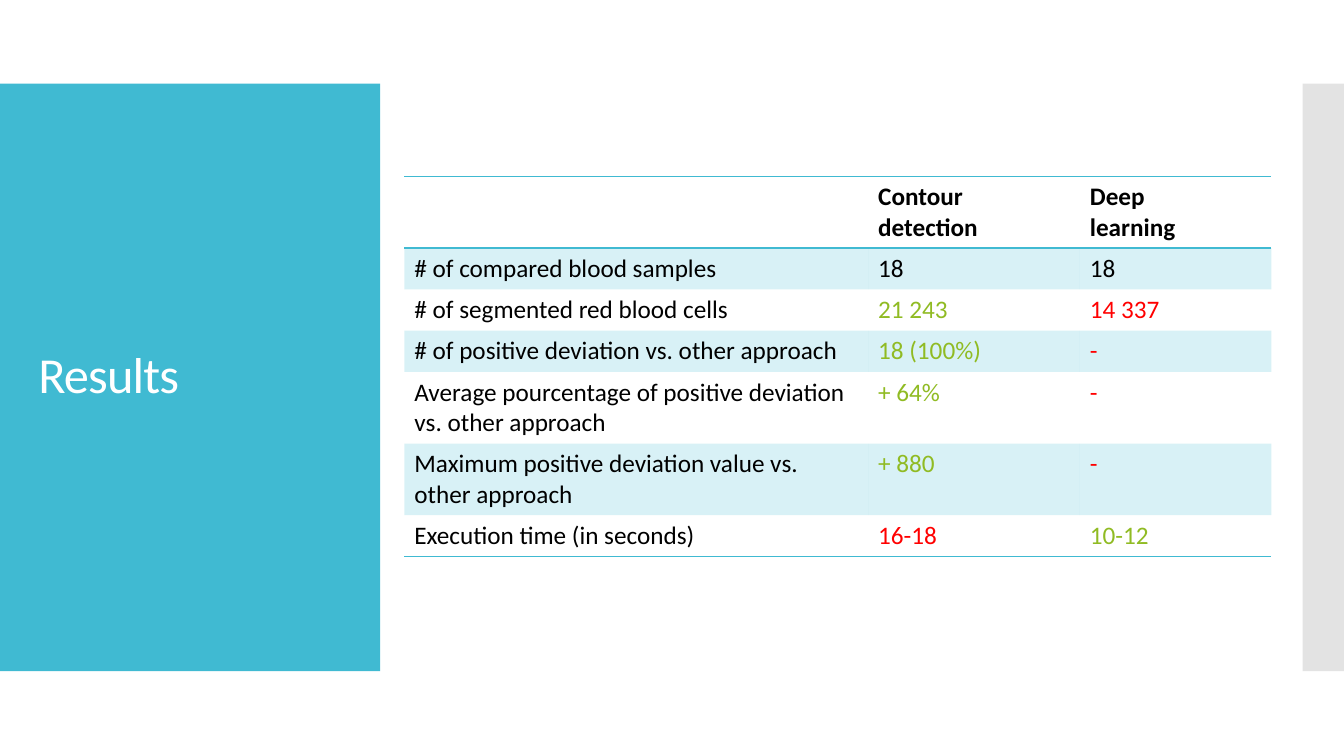
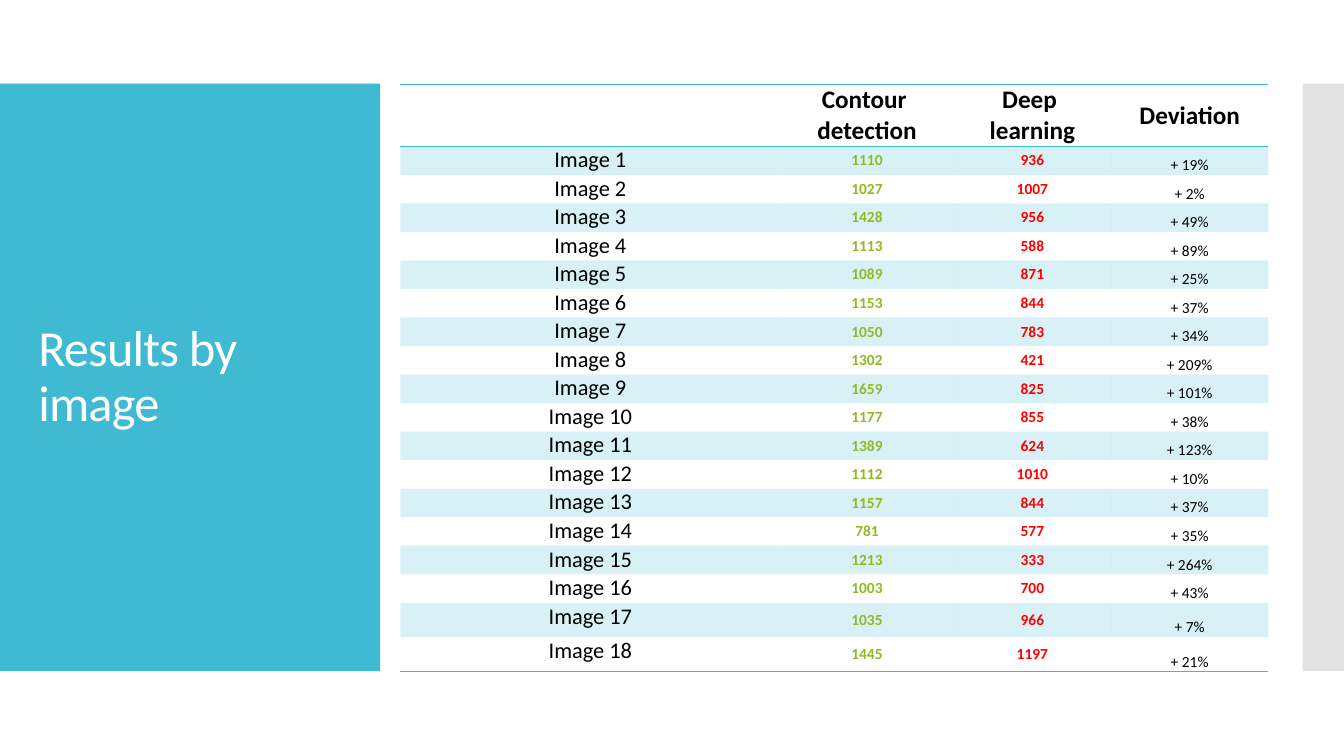
from pptx import Presentation
from pptx.dml.color import RGBColor as RGB
from pptx.enum.shapes import MSO_SHAPE as Shape
from pptx.enum.text import MSO_ANCHOR as Anchor, PP_ALIGN as Align
from pptx.oxml import parse_xml
from pptx.oxml.ns import nsdecls, qn
from pptx.util import Inches, Pt

TEAL = RGB(0x40, 0xBA, 0xD2)
GREY = RGB(0xC8, 0xC8, 0xC8)
GREEN = RGB(0x90, 0xBB, 0x23)
RED = RGB(0xFF, 0, 0)
BLACK = RGB(0, 0, 0)
WHITE = RGB(0xFF, 0xFF, 0xFF)
FONT = "Calibri"
PLAIN = "{2D5ABB26-0587-4C30-8999-92F81FD0307C}"

# Content: label, contour value, deep value, colours of the two values
RESULTS = [
    ("# of compared blood samples", "18", "18", (BLACK, BLACK)),
    ("# of segmented red blood cells", "21 243", "14 337", (GREEN, RED)),
    ("# of positive deviation vs. other approach", "18 (100%)", "-", (GREEN, RED)),
    ("Average pourcentage of positive deviation vs. other approach",
     "+ 64%", "-", (GREEN, RED)),
    ("Maximum positive deviation value vs. other approach",
     "+ 880", "-", (GREEN, RED)),
    ("Execution time (in seconds)", "16-18", "10-12", (RED, GREEN)),
]
# Cells counted by contour detection and by deep learning, image by image
COUNTS = [
    (1110, 936), (1027, 1007), (1428, 956), (1113, 588), (1089, 871),
    (1153, 844), (1050, 783), (1302, 421), (1659, 825), (1177, 855),
    (1389, 624), (1112, 1010), (1157, 844), (781, 577), (1213, 333),
    (1003, 700), (1035, 966), (1445, 1197),
]

# Cell formats
HEAD = dict(size=18, bold=True)
BODY = dict(size=18)
MID = dict(align=Align.CENTER, margin=0)
MIDHEAD = dict(MID, **HEAD)
NAME = dict(MID, size=16)
COUNT = dict(MID, size=11, bold=True, anchor=Anchor.MIDDLE)
SHIFT = dict(MID, size=11, anchor=Anchor.BOTTOM)


def style(font, **looks):
    for key, value in dict(name=FONT, **looks).items():
        setattr(font, key, value)


def paint(fill, color, alpha=None):
    fill.solid()
    fill.fore_color.rgb = color
    if alpha:
        # The colour element sits directly below the solid fill
        tone = fill._xPr.find(qn("a:solidFill"))[0]
        tone.append(parse_xml(f'<a:alpha {nsdecls("a")} val="{alpha * 1000}"/>'))


def edge(cell, side):
    line = parse_xml(
        f'<a:{side} {nsdecls("a")} w="12700"><a:solidFill>'
        f'<a:srgbClr val="{TEAL}"/></a:solidFill></a:{side}>')
    cell._tc.get_or_add_tcPr().insert(0, line)


def write(cell, text, size, bold=False, color=BLACK, align=Align.LEFT,
          anchor=Anchor.TOP, margin=None):
    cell.text = text
    cell.vertical_anchor = anchor
    if margin is not None:
        for side in ("left", "right", "top", "bottom"):
            setattr(cell, f"margin_{side}", margin)
    for para in cell.text_frame.paragraphs:
        para.alignment = align
        style(para.font, size=Pt(size), bold=bold)
        for run in para.runs:
            style(run.font, size=Pt(size), bold=bold)
            run.font.color.rgb = color


def add_bands(slide, layout):
    # Side bands are drawn once, then moved to the shared layout
    bands = [(0, 3.77, TEAL, None), (12.92, 0.42, GREY, 50)]
    for spot, (left, width, color, alpha) in enumerate(bands, 2):
        band = slide.shapes.add_shape(
            Shape.RECTANGLE, Inches(left), Inches(0.83), Inches(width), Inches(5.83))
        band.shadow.inherit = False
        band.line.fill.background()
        paint(band.fill, color, alpha)
        layout.shapes.element.insert(spot, band.element)


def add_title(slide, text):
    title = slide.shapes.title
    place = dict(left=0.28, top=1.23, width=3.22, height=5.03)
    for key, value in place.items():
        setattr(title, key, Inches(value))
    frame = title.text_frame
    frame.text = text
    frame.word_wrap = True
    frame.vertical_anchor = Anchor.MIDDLE
    para = frame.paragraphs[0]
    para.alignment, para.line_spacing = Align.LEFT, 0.9
    run = para.runs[0]
    style(run.font, size=Pt(36))
    run.font.color.rgb = WHITE
    run.font._element.set("spc", "-60")


def add_grid(slide, left, top, widths, heights, rows):
    frame = slide.shapes.add_table(
        len(rows), len(widths), Inches(left), Inches(top),
        Inches(sum(widths)), Inches(sum(heights)))
    frame.element.find(".//" + qn("a:tableStyleId")).text = PLAIN
    table = frame.table
    table.first_row = table.horz_banding = False
    for col, width in zip(table.columns, widths):
        col.width = Inches(width)
    for row, height in zip(table.rows, heights):
        row.height = Inches(height)
    for i, row in enumerate(rows):
        for j, (text, looks) in enumerate(row):
            cell = table.cell(i, j)
            write(cell, text, **looks)
            if i % 2:
                paint(cell.fill, TEAL, 20)
            else:
                cell.fill.background()
            if i in (0, len(rows) - 1):
                edge(cell, "lnB")
            if i == 0:
                edge(cell, "lnT")


def result_rows():
    rows = [[("", HEAD), ("Contour\ndetection", HEAD), ("Deep\nlearning", HEAD)]]
    for label, *values, colors in RESULTS:
        rows.append([(label, BODY)] + [
            (value, dict(BODY, color=color)) for value, color in zip(values, colors)])
    return rows


def image_rows():
    rows = [[("", HEAD), ("Contour \ndetection", MIDHEAD), ("Deep \nlearning", MIDHEAD),
             ("Deviation", dict(MIDHEAD, anchor=Anchor.MIDDLE))]]
    for i, (contour, deep) in enumerate(COUNTS, 1):
        rows.append([
            (f"Image {i}", NAME),
            (str(contour), dict(COUNT, color=GREEN)),
            (str(deep), dict(COUNT, color=RED)),
            (f"+ {contour / deep - 1:.0%}", SHIFT)])
    return rows


def main():
    deck = Presentation()
    deck.slide_width, deck.slide_height = Inches(13.33), Inches(7.5)
    layout = deck.slide_layouts[5]

    # Results
    slide = deck.slides.add_slide(layout)
    add_bands(slide, layout)
    add_title(slide, "Results")
    add_grid(slide, 4.01, 1.75, [4.6, 2.1, 1.9], [0.41] * 7, result_rows())

    # Results by image
    slide = deck.slides.add_slide(layout)
    add_title(slide, "Results by image")
    heights = [0.57] + [4.53 / 16] * 16 + [0.34] * 2
    add_grid(slide, 3.97, 0.84, [3.77, 1.72, 1.56, 1.56], heights, image_rows())

    deck.save("out.pptx")


if __name__ == "__main__":
    main()
